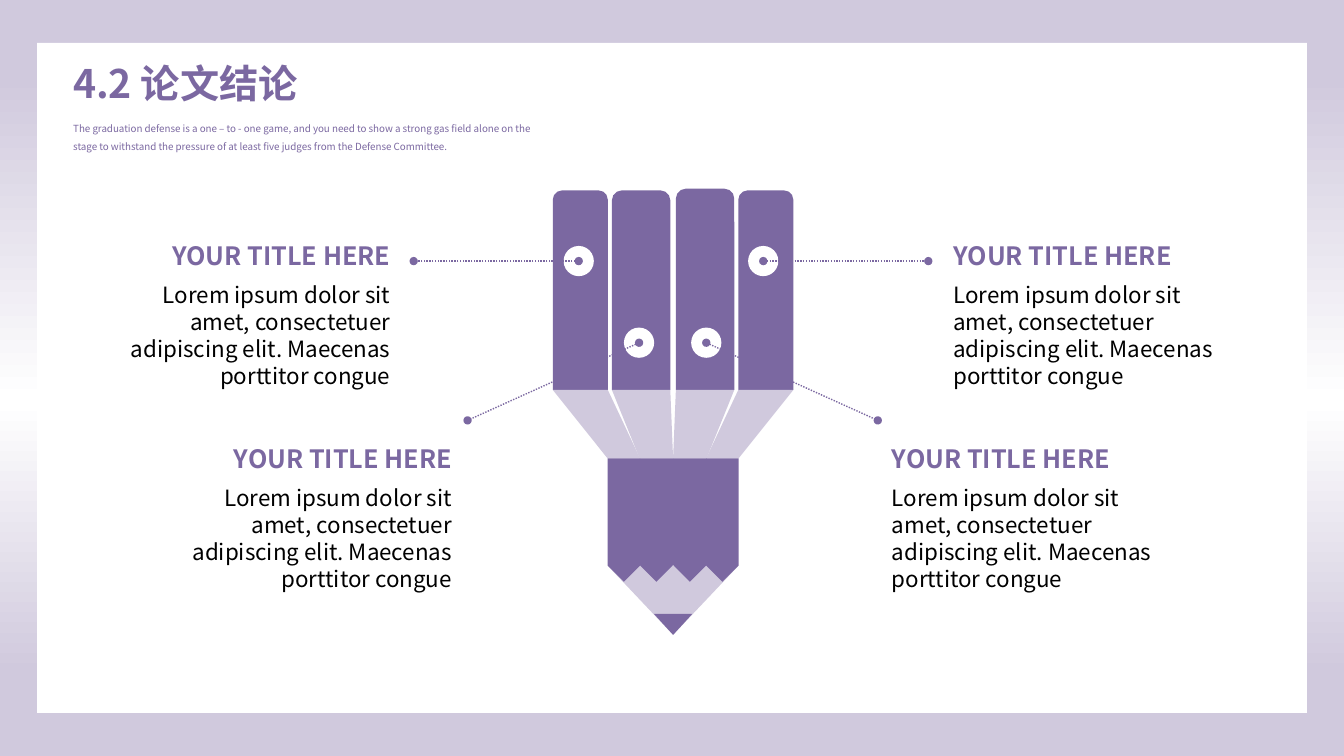
from copy import deepcopy
from dataclasses import dataclass

from lxml import etree
from pptx import Presentation
from pptx.dml.color import RGBColor
from pptx.enum.dml import MSO_LINE
from pptx.enum.shapes import MSO_CONNECTOR, MSO_SHAPE
from pptx.enum.text import MSO_AUTO_SIZE, PP_ALIGN
from pptx.oxml.ns import qn
from pptx.util import Pt

RECT = MSO_SHAPE.RECTANGLE
OVAL = MSO_SHAPE.OVAL
ROUND_TOP = MSO_SHAPE.ROUND_2_SAME_RECTANGLE
PENTAGON = MSO_SHAPE.PENTAGON
STRAIGHT = MSO_CONNECTOR.STRAIGHT
DOTTED = MSO_LINE.ROUND_DOT
FIT_SHAPE = MSO_AUTO_SIZE.SHAPE_TO_FIT_TEXT
LEFT, RIGHT = PP_ALIGN.LEFT, PP_ALIGN.RIGHT


@dataclass(frozen=True)
class Theme:
    font: str = "Noto Sans CJK SC"
    purple: RGBColor = RGBColor(0x7B, 0x68, 0xA1)
    lilac: RGBColor = RGBColor(0xD0, 0xC9, 0xDD)
    white: RGBColor = RGBColor(0xFF, 0xFF, 0xFF)
    black: RGBColor = RGBColor(0, 0, 0)
    heading: float = 28
    intro: float = 7
    caption: float = 18
    body: float = 16


THEME = Theme()
CAPTION = "YOUR TITLE HERE"
BODY = "Lorem ipsum dolor sit amet, consectetuer adipiscing elit. Maecenas porttitor congue"
INTRO = ("The graduation defense is a one – to - one game, and you need to show a strong gas field "
         "alone on the stage to withstand the pressure of at least five judges from the Defense Committee.")


def paint(shape, color):
    shape.shadow.inherit = False
    shape.fill.solid()
    shape.fill.fore_color.rgb = color
    shape.line.fill.background()


def add_filled(slide, kind, box, color):
    shape = slide.shapes.add_shape(kind, *map(Pt, box))
    paint(shape, color)
    return shape


def add_polygon(slide, points, color):
    corners = [(Pt(x), Pt(y)) for x, y in points]
    builder = slide.shapes.build_freeform(*corners[0])
    builder.add_line_segments(corners[1:], close=True)
    paint(builder.convert_to_shape(), color)


def add_text(slide, box, text, size, color, bold=False, align=LEFT, spacing=None):
    frame = slide.shapes.add_textbox(*map(Pt, box)).text_frame
    frame.word_wrap = True
    frame.auto_size = FIT_SHAPE
    paragraph = frame.paragraphs[0]
    paragraph.alignment = align
    paragraph.line_spacing = spacing
    run = paragraph.add_run()
    run.text = text
    run.font.size = Pt(size)
    run.font.bold = bold
    run.font.color.rgb = color
    run.font.name = THEME.font
    etree.SubElement(run.font._element, qn("a:ea"), typeface=THEME.font)


def add_leader(slide, start, end):
    leader = slide.shapes.add_connector(STRAIGHT, *map(Pt, start + end))
    leader.line.color.rgb = THEME.purple
    leader.line.width = Pt(1)
    leader.line.dash_style = DOTTED
    outline = leader.line._get_or_add_ln()
    for end_tag in ("a:headEnd", "a:tailEnd"):
        etree.SubElement(outline, qn(end_tag), type="oval")
    etree.SubElement(leader._element.spPr, qn("a:effectLst"))


def draw_background(slide, box):
    fill = slide.background.fill
    fill.gradient()
    fill.gradient_angle = 270
    first = fill.gradient_stops[0]._gs
    first.addnext(deepcopy(first))
    colors = (THEME.lilac, THEME.white, THEME.lilac)
    for stop, position, color in zip(fill.gradient_stops, (0.1, 0.53, 0.89), colors):
        stop.position = position
        stop.color.rgb = color
    add_filled(slide, RECT, box, THEME.white)


def draw_header(slide, box):
    left, top, width, height = box
    add_text(slide, (left, top, 288, 41), "4.2 论文结论", THEME.heading, THEME.purple, bold=True)
    add_text(slide, (left, top + 41, width, height - 41), INTRO, THEME.intro, THEME.purple, spacing=1.5)


def draw_pencil(slide, box):
    left, top, width, height = box
    axis, tip = left + width / 2, top + height
    wrist, knuckle, shoulder, nib = top + 143.7, top + 192.6, top + 269.2, top + 303.7
    reach, half_body, half_nib, tooth = width / 2, 46.8, 13.7, 11.6

    add_polygon(slide, [(axis - half_body, shoulder), (axis + half_body, shoulder), (axis, tip)], THEME.lilac)
    add_polygon(slide, [(axis - half_nib, nib), (axis + half_nib, nib), (axis, tip)], THEME.purple)

    fingers = [(reach, 46.6, half_body, 23.6), (43.7, 2, 23.9, 0)]
    for side in (-1, 1):
        for outer, inner, body_outer, body_inner in fingers:
            finger_top = top if side > 0 and outer < reach else top + 1.2
            finger_left = axis + min(side * outer, side * inner)
            add_filled(slide, ROUND_TOP, (finger_left, finger_top, outer - inner, wrist - finger_top), THEME.purple)

            taper = [(outer, wrist), (body_outer, knuckle), (body_inner, knuckle), (inner, wrist)]
            add_polygon(slide, [(axis + side * x, y) for x, y in taper], THEME.lilac)

            length, breadth = shoulder + tooth - knuckle, body_outer - body_inner
            center = axis + side * (body_outer + body_inner) / 2
            middle = knuckle + length / 2
            plank = add_filled(slide, PENTAGON, (center - length / 2, middle - breadth / 2, length, breadth),
                               THEME.purple)
            plank.rotation = 90


def draw_callout(slide, box, align, hole, anchor):
    left, top, width, height = box
    diameter = 21.6
    x, y = hole
    add_filled(slide, OVAL, (x - diameter / 2, y - diameter / 2, diameter, diameter), THEME.white)
    add_leader(slide, hole, anchor)
    add_text(slide, (left, top, width, 29), CAPTION, THEME.caption, THEME.purple, bold=True, align=align)
    add_text(slide, (left, top + 29, width, height - 29), BODY, THEME.body, THEME.black, align=align)


def draw_callouts(slide, box):
    left, top, width, height = box
    axis = left + width / 2
    text_width, text_height = 211.7, 114
    rows = [(top, 194, -0.7, (65.9, 186.5), (183.8, 186.5)),
            (top + height - text_height, 150, 0.5, (24, 244.8), (146.5, 300.3))]
    for text_top, gap, shift, hole, anchor in rows:
        for side, align in ((-1, RIGHT), (1, LEFT)):
            text_left = axis + gap if side > 0 else axis - gap - text_width
            ends = [(axis + shift + side * x, y) for x, y in (hole, anchor)]
            draw_callout(slide, (text_left, text_top, text_width, text_height), align, *ends)


def main():
    deck = Presentation()
    deck.slide_width, deck.slide_height = Pt(960), Pt(540)
    slide = deck.slides.add_slide(deck.slide_layouts[6])
    draw_background(slide, (26.5, 30.7, 907, 478.5))
    draw_header(slide, (45.2, 38.9, 342.7, 73.4))
    draw_pencil(slide, (394.9, 134.8, 171.8, 318.7))
    draw_callouts(slide, (74.3, 168.4, 811.4, 259))
    deck.save("out.pptx")


if __name__ == "__main__":
    main()
